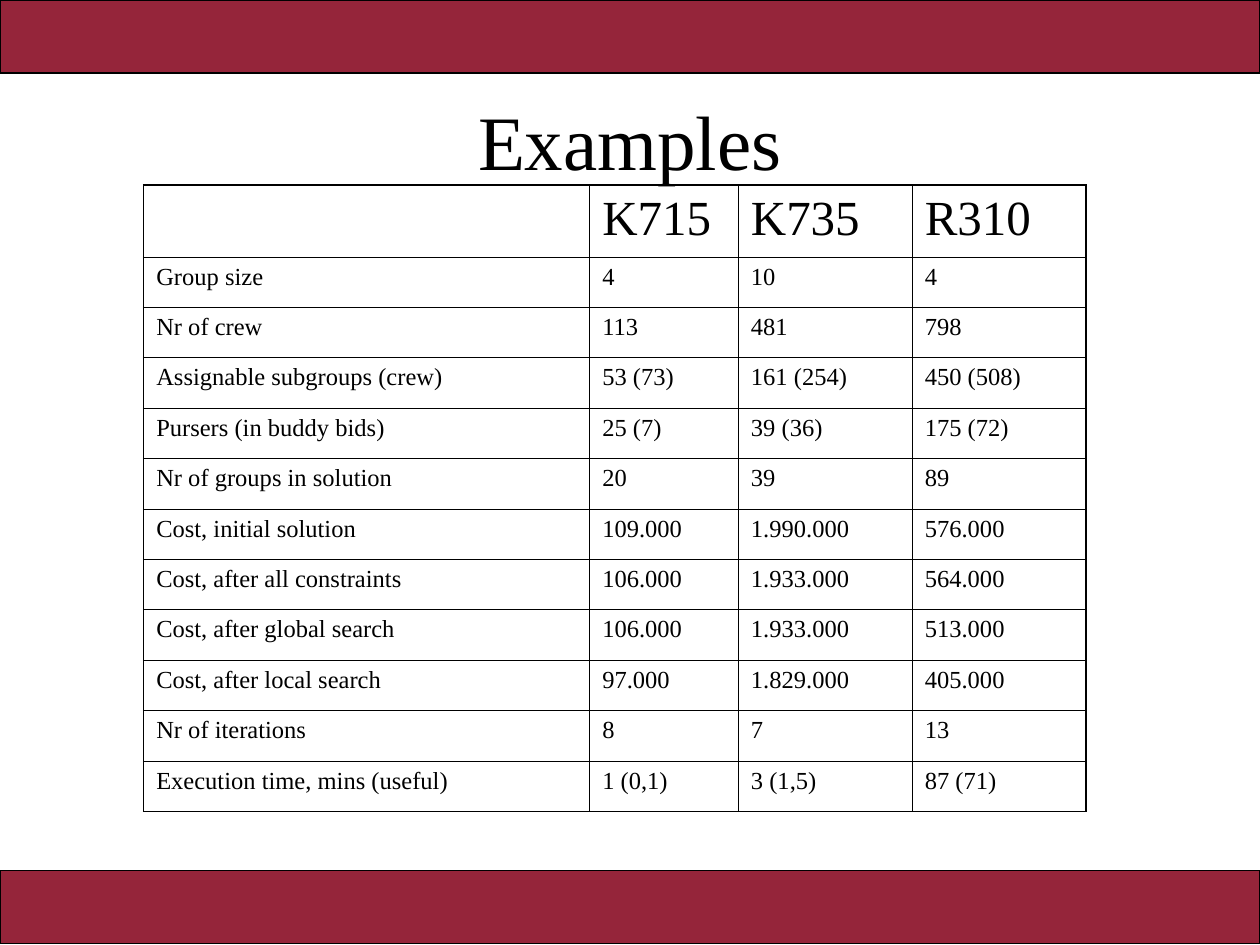
from lxml import etree
from pptx import Presentation
from pptx.dml.color import RGBColor
from pptx.enum.shapes import MSO_SHAPE
from pptx.enum.text import MSO_ANCHOR, MSO_AUTO_SIZE, PP_ALIGN
from pptx.oxml.ns import qn
from pptx.util import Inches, Pt

RECTANGLE = MSO_SHAPE.RECTANGLE
MIDDLE = MSO_ANCHOR.MIDDLE
NO_AUTOFIT = MSO_AUTO_SIZE.NONE
CENTER = PP_ALIGN.CENTER

FONT = "Times New Roman"
BLACK = "000000"
BAND_RED = "95253A"
OUTER_BORDER, INNER_BORDER = Pt(1.08), Pt(0.45)
TITLE_ONLY_LAYOUT = 5

COLUMN_WIDTHS = [3.54, 1.18, 1.38, 1.38]
HEADER_HEIGHT, ROW_HEIGHT = 0.57, 0.4
RESULTS = [
    ["", "K715", "K735", "R310"],
    ["Group size", "4", "10", "4"],
    ["Nr of crew", "113", "481", "798"],
    ["Assignable subgroups (crew)", "53 (73)", "161 (254)", "450 (508)"],
    ["Pursers (in buddy bids)", "25 (7)", "39 (36)", "175 (72)"],
    ["Nr of groups in solution", "20", "39", "89"],
    ["Cost, initial solution", "109.000", "1.990.000", "576.000"],
    ["Cost, after all constraints", "106.000", "1.933.000", "564.000"],
    ["Cost, after global search", "106.000", "1.933.000", "513.000"],
    ["Cost, after local search", "97.000", "1.829.000", "405.000"],
    ["Nr of iterations", "8", "7", "13"],
    ["Execution time, mins (useful)", "1 (0,1)", "3 (1,5)", "87 (71)"],
]


def color(hex_value):
    return RGBColor.from_string(hex_value)


def style_font(paragraph, size):
    paragraph.font.name = FONT
    paragraph.font.size = Pt(size)
    paragraph.font.color.rgb = color(BLACK)


def add_band(slide, left, top, width, height):
    band = slide.shapes.add_shape(
        RECTANGLE, Inches(left), Inches(top), Inches(width), Inches(height))
    band.shadow.inherit = False
    band.fill.solid()
    band.fill.fore_color.rgb = color(BAND_RED)
    band.line.color.rgb = color(BLACK)
    band.line.width = Pt(0.75)


def place_title(slide, left, top, width, height):
    title = slide.shapes.title
    title.left, title.top = Inches(left), Inches(top)
    title.width, title.height = Inches(width), Inches(height)
    frame = title.text_frame
    frame.text = "Examples"
    frame.auto_size = NO_AUTOFIT
    frame.vertical_anchor = MIDDLE
    heading = frame.paragraphs[0]
    heading.alignment = CENTER
    style_font(heading, 44)


def set_borders(cell, on_edge):
    """Draw the cell's sides, heavier where on_edge says the table ends."""
    properties = cell._tc.get_or_add_tcPr()
    for side, is_outer in on_edge.items():
        width = OUTER_BORDER if is_outer else INNER_BORDER
        line = etree.SubElement(properties, qn(f"a:ln{side}"), w=str(int(width)))
        fill = etree.SubElement(line, qn("a:solidFill"))
        etree.SubElement(fill, qn("a:srgbClr"), val=BLACK)


def add_results_table(slide, left, top, width, height):
    row_count, column_count = len(RESULTS), len(COLUMN_WIDTHS)
    table = slide.shapes.add_table(
        row_count, column_count,
        Inches(left), Inches(top), Inches(width), Inches(height)).table
    table.first_row = table.horz_banding = False

    for column, column_width in zip(table.columns, COLUMN_WIDTHS):
        column.width = Inches(column_width)

    for r, values in enumerate(RESULTS):
        is_header = r == 0
        table.rows[r].height = Inches(HEADER_HEIGHT if is_header else ROW_HEIGHT)
        for c, value in enumerate(values):
            cell = table.cell(r, c)
            set_borders(cell, {"L": c == 0, "R": c == column_count - 1,
                               "T": is_header, "B": r == row_count - 1})
            cell.fill.background()
            cell.text = value
            entry = cell.text_frame.paragraphs[0]
            entry.space_before = Pt(7 if is_header else 3.5)
            style_font(entry, 28 if is_header else 14)


def main():
    presentation = Presentation()
    presentation.slide_width, presentation.slide_height = Inches(10), Inches(7.5)
    slide = presentation.slides.add_slide(
        presentation.slide_layouts[TITLE_ONLY_LAYOUT])

    # Bands along the bottom and top edges
    for band_top in (6.91, 0):
        add_band(slide, 0, band_top, 10, 0.58)

    # Title and results
    place_title(slide, 0.75, 0.67, 8.5, 0.88)
    add_results_table(slide, 1.14, 1.47, 7.48, 4.98)

    presentation.save("out.pptx")


if __name__ == "__main__":
    main()
